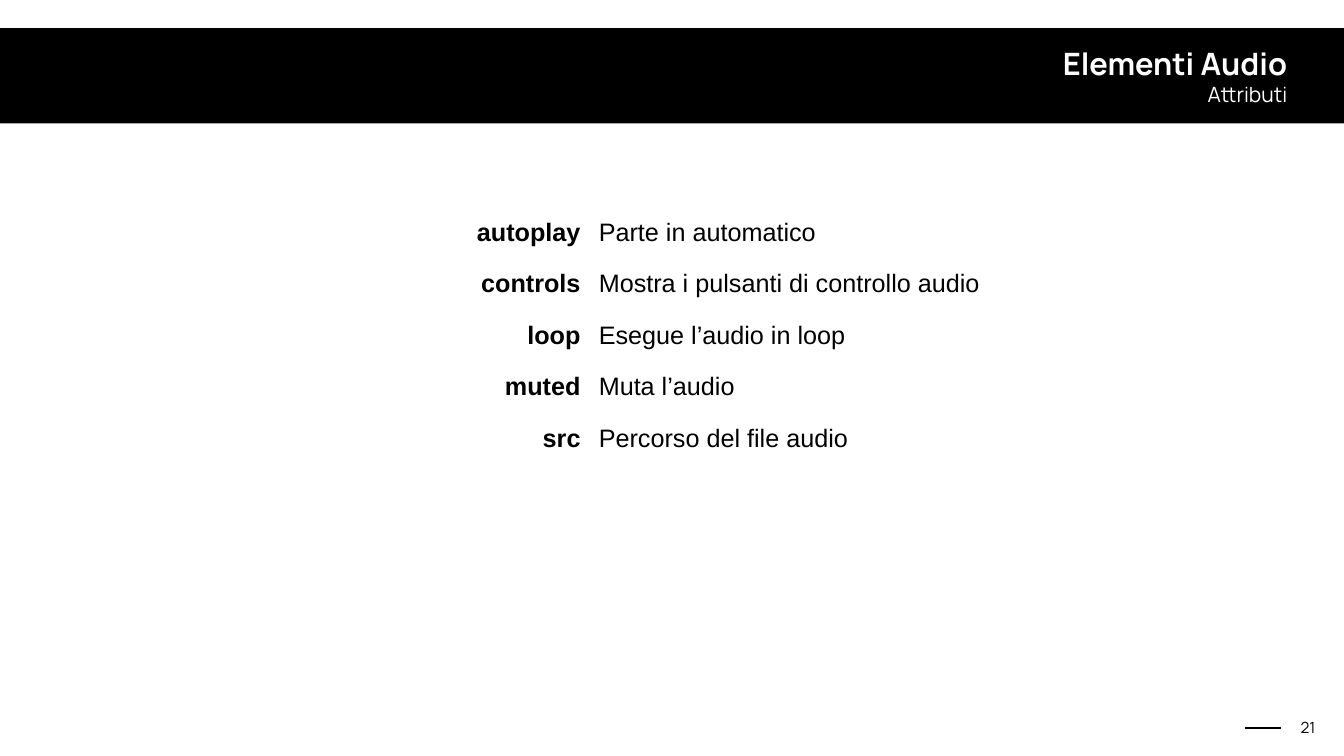
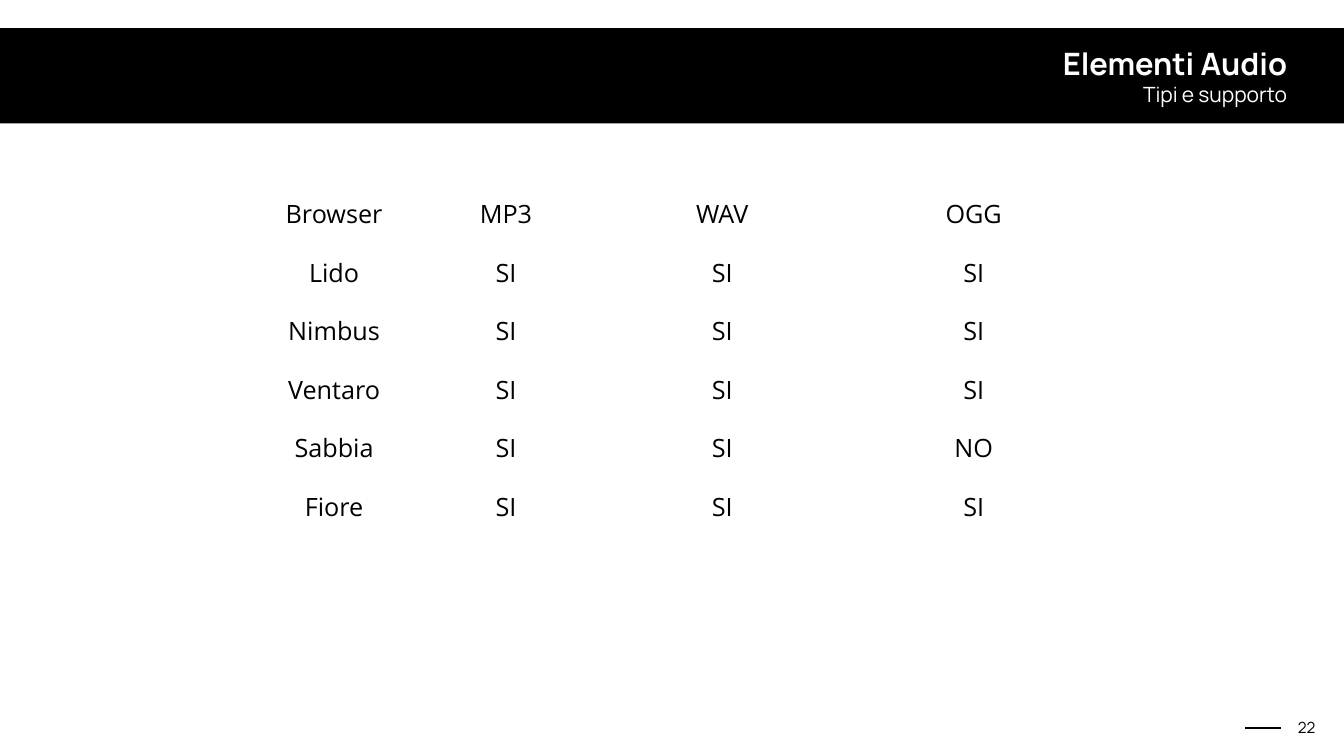
import dataclasses

import pptx
import pptx.dml.color
import pptx.enum.shapes
import pptx.enum.text
import pptx.oxml.ns
import pptx.slide
import pptx.table
import pptx.text.text
import pptx.util
from lxml import etree

Cm = pptx.util.Cm
Align = pptx.enum.text.PP_ALIGN
Anchor = pptx.enum.text.MSO_ANCHOR

BLACK = "000000"
WHITE = "FFFFFF"
HEADING_FONT = "Manrope"
TITLE = "Elementi Audio"
FIRST_NUMBER = 21
TITLE_ONLY = 5
BOX_INSET = 0.15
CELL_INSET = 0.46


@dataclasses.dataclass(frozen=True)
class Column:
    """Width in centimetres and text format of one table column."""

    width: float
    align: Align
    bold: bool = False
    left_inset: float = CELL_INSET


@dataclasses.dataclass(frozen=True)
class TableSlide:
    """Subtitle and table of one slide, with lengths in centimetres."""

    subtitle: str
    font: str
    left: float
    top: float
    row_height: float
    columns: tuple[Column, ...]
    rows: tuple[tuple[str, ...], ...]


ATTRIBUTES = TableSlide(
    "Attributi", "Arial", 8.33, 10.44, 2.59,
    (Column(21.39, Align.RIGHT, bold=True), Column(29.67, Align.LEFT)),
    (
        ("autoplay", "Parte in automatico"),
        ("controls", "Mostra i pulsanti di controllo audio"),
        ("loop", "Esegue l’audio in loop"),
        ("muted", "Muta l’audio"),
        ("src", "Percorso del file audio"),
    ),
)

SUPPORT = TableSlide(
    "Tipi e supporto", "Open Sans", 12.29, 9.3, 2.95,
    (
        Column(8.64, Align.CENTER, left_inset=2 * CELL_INSET),
        Column(9.14, Align.CENTER),
        Column(12.67, Align.CENTER),
        Column(12.67, Align.CENTER),
    ),
    (
        ("Browser", "MP3", "WAV", "OGG"),
        ("Lido", "SI", "SI", "SI"),
        ("Nimbus", "SI", "SI", "SI"),
        ("Ventaro", "SI", "SI", "SI"),
        ("Sabbia", "SI", "SI", "NO"),
        ("Fiore", "SI", "SI", "SI"),
    ),
)


def colour(value: str) -> pptx.dml.color.RGBColor:
    """Turn a hex string into a colour."""
    return pptx.dml.color.RGBColor.from_string(value)


def format_paragraph(para: pptx.text.text._Paragraph, font: str, size: int,
                     ink: str, align: Align, bold: bool = False) -> None:
    """Align a paragraph and format its runs."""
    para.alignment = align
    for span in para.runs:
        span.font.name = font
        span.font.size = pptx.util.Pt(size)
        span.font.bold = bold
        span.font.color.rgb = colour(ink)


def prepare_frame(frame: pptx.text.text.TextFrame, anchor: Anchor) -> None:
    """Give a text frame its wrapping, anchor and small insets."""
    frame.word_wrap = True
    frame.auto_size = pptx.enum.text.MSO_AUTO_SIZE.NONE
    frame.vertical_anchor = anchor
    frame.margin_left = frame.margin_right = Cm(BOX_INSET)
    frame.margin_top = frame.margin_bottom = Cm(BOX_INSET)


def draw_band(slide: pptx.slide.Slide) -> None:
    """Draw the black band behind the title."""
    band = slide.shapes.add_shape(pptx.enum.shapes.MSO_SHAPE.RECTANGLE,
                                  Cm(-0.53), Cm(1.42), Cm(68.78), Cm(4.8))
    band.shadow.inherit = False
    band.fill.solid()
    band.fill.fore_color.rgb = colour(BLACK)
    band.line.fill.background()


def draw_title(slide: pptx.slide.Slide, subtitle: str) -> None:
    """Place the title and subtitle in front of the band."""
    title = slide.shapes.title
    title.left, title.top = Cm(2.57), Cm(2.08)
    title.width, title.height = Cm(62.46), Cm(3.45)
    frame = title.text_frame
    prepare_frame(frame, Anchor.MIDDLE)
    frame.text = f"{TITLE}\n{subtitle}"
    heading, detail = frame.paragraphs
    format_paragraph(heading, HEADING_FONT, 44, WHITE, Align.RIGHT, bold=True)
    format_paragraph(detail, HEADING_FONT, 30, WHITE, Align.RIGHT)
    slide.shapes.element.append(title.element)


def draw_footer(slide: pptx.slide.Slide, number: int) -> None:
    """Draw the short rule and the page number."""
    rule = slide.shapes.add_connector(pptx.enum.shapes.MSO_CONNECTOR.STRAIGHT,
                                      Cm(64.57), Cm(36.68), Cm(62.76), Cm(36.68))
    rule.line.color.rgb = colour(BLACK)
    rule.line.width = pptx.util.Pt(2)
    etree.SubElement(rule.element.spPr, pptx.oxml.ns.qn("a:effectLst"))
    box = slide.shapes.add_textbox(Cm(65.18), Cm(36.07), Cm(1.27), Cm(1.22))
    prepare_frame(box.text_frame, Anchor.BOTTOM)
    box.text_frame.text = str(number)
    format_paragraph(box.text_frame.paragraphs[0], HEADING_FONT, 22, BLACK, Align.RIGHT)


def fill_cell(cell: pptx.table._Cell, text: str, column: Column, font: str) -> None:
    """Write and format one table cell."""
    cell.fill.background()
    cell.vertical_anchor = Anchor.MIDDLE
    cell.margin_left = Cm(column.left_inset)
    cell.margin_right = cell.margin_top = cell.margin_bottom = Cm(CELL_INSET)
    cell.text_frame.text = text
    format_paragraph(cell.text_frame.paragraphs[0], font, 36, BLACK,
                     column.align, column.bold)


def draw_table(slide: pptx.slide.Slide, content: TableSlide) -> None:
    """Draw the plain table of a slide."""
    width = sum(column.width for column in content.columns)
    height = content.row_height * len(content.rows)
    table = slide.shapes.add_table(len(content.rows), len(content.columns),
                                   Cm(content.left), Cm(content.top),
                                   Cm(width), Cm(height)).table
    table.first_row = False
    table.horz_banding = False
    for index, column in enumerate(content.columns):
        table.columns[index].width = Cm(column.width)
    for row_index, texts in enumerate(content.rows):
        table.rows[row_index].height = Cm(content.row_height)
        for index, (text, column) in enumerate(zip(texts, content.columns)):
            fill_cell(table.cell(row_index, index), text, column, content.font)


def main() -> None:
    """Build and save the deck."""
    deck = pptx.Presentation()
    deck.slide_width, deck.slide_height = Cm(67.74), Cm(38.1)
    for number, content in enumerate((ATTRIBUTES, SUPPORT), FIRST_NUMBER):
        page = deck.slides.add_slide(deck.slide_layouts[TITLE_ONLY])
        draw_band(page)
        draw_footer(page, number)
        draw_table(page, content)
        draw_title(page, content.subtitle)
    deck.save("out.pptx")


if __name__ == "__main__":
    main()
